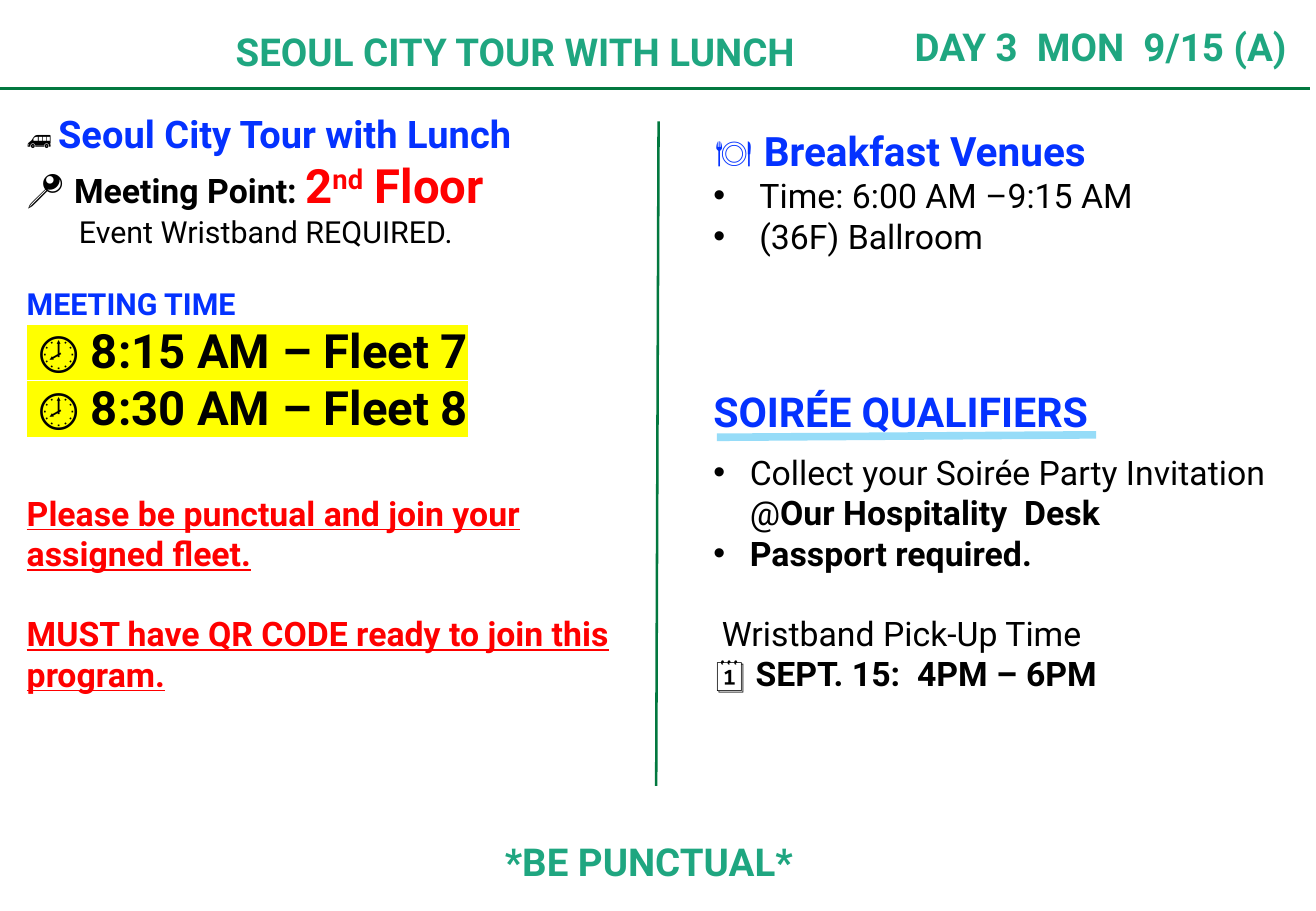
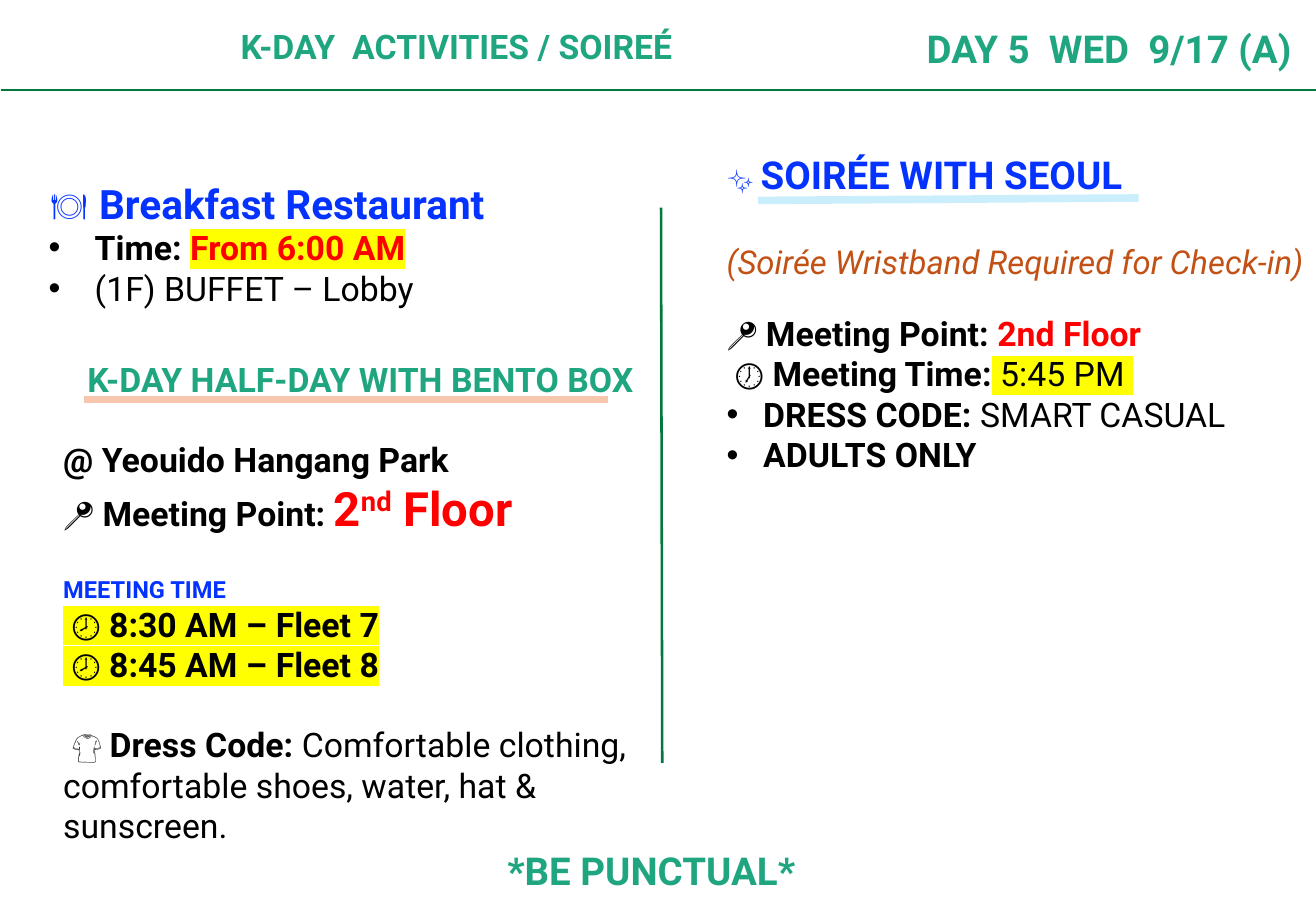
from lxml import etree
from pptx import Presentation
from pptx.dml.color import RGBColor
from pptx.enum.shapes import MSO_CONNECTOR
from pptx.enum.text import MSO_ANCHOR, PP_ALIGN
from pptx.oxml.ns import qn
from pptx.util import Inches, Pt

FONT = "Roboto"
GREEN, DARK_GREEN, BLUE = "1FA680", "02783F", "0432FF"
RED, BLACK, BROWN, YELLOW = "FF0000", "000000", "C25115", "FFFF00"
LINE_HEIGHT = 1.17
STRAIGHT = MSO_CONNECTOR.STRAIGHT
LEFT, CENTER, RIGHT = PP_ALIGN.LEFT, PP_ALIGN.CENTER, PP_ALIGN.RIGHT
TOP = MSO_ANCHOR.TOP


def add_text(slide, box, paragraphs, align=LEFT):
    """Paragraph: (gap above in points of type, indent, bulleted, runs).
    Run: (text, size, colour, style letters b i u ^, optional highlight)."""
    shape = slide.shapes.add_textbox(*[Inches(value) for value in box])
    frame = shape.text_frame
    frame.word_wrap = True
    frame.vertical_anchor = TOP
    frame.margin_left = frame.margin_right = Inches(0.08)
    frame.margin_top = frame.margin_bottom = Inches(0.04)
    for number, (gap, indent, bulleted, runs) in enumerate(paragraphs):
        paragraph = frame.add_paragraph() if number else frame.paragraphs[0]
        paragraph.alignment = align
        if gap:
            paragraph.space_before = Pt(gap * LINE_HEIGHT)
        properties = paragraph._p.get_or_add_pPr()
        properties.set("marL", str(Inches(indent)))
        if bulleted:
            properties.set("indent", str(-Inches(indent)))
            etree.SubElement(properties, qn("a:buFont")).set("typeface", "Arial")
            etree.SubElement(properties, qn("a:buChar")).set("char", "•")
        for text, size, color, style, *highlight in runs:
            run = paragraph.add_run()
            run.text = text
            run.font.size = Pt(size)
            run.font.name = FONT
            run.font.bold = "b" in style
            run.font.italic = "i" in style
            run.font.underline = "u" in style
            run.font.color.rgb = RGBColor.from_string(color)
            run_properties = run.font._element
            if "^" in style:
                run_properties.set("baseline", "30000")
            if highlight:
                mark = etree.Element(qn("a:highlight"))
                etree.SubElement(mark, qn("a:srgbClr")).set("val", highlight[0])
                run_properties.find(qn("a:solidFill")).addnext(mark)


def add_line(slide, points, color, width):
    line = slide.shapes.add_connector(STRAIGHT, *[Inches(value) for value in points])
    line.line.color.rgb = RGBColor.from_string(color)
    line.line.width = Pt(width)
    etree.SubElement(line._element.spPr, qn("a:effectLst"))


presentation = Presentation()
presentation.slide_width = Inches(10.83)
presentation.slide_height = Inches(7.5)

# Shared frame: title, day, header rule, column divider, footer
frames = [
    dict(title="SEOUL CITY TOUR WITH LUNCH", title_box=(1.86, 0.19, 5.51, 0.46),
         title_size=22.8, day="DAY 3  MON  9/15 (A)", day_box=(5.9, 0.15, 4.77, 0.46),
         rule=(0, 0.73, 10.78, 0.73), divider=(5.4, 6.47, 5.42, 1),
         footer_box=(0, 6.86, 10.68, 0.46)),
    dict(title="K-DAY  ACTIVITIES / SOIREÉ", title_box=(1.9, 0.17, 6.48, 0.42),
         title_size=20, day="DAY 5  WED  9/17 (A)", day_box=(5.94, 0.17, 4.77, 0.46),
         rule=(0.01, 0.74, 10.83, 0.74), divider=(5.45, 6.28, 5.44, 1.71),
         footer_box=(0, 6.93, 10.72, 0.46)),
]
slides = []
for frame in frames:
    slide = presentation.slides.add_slide(presentation.slide_layouts[6])
    add_line(slide, frame["rule"], DARK_GREEN, 1.5)
    add_line(slide, frame["divider"], DARK_GREEN, 1.5)
    for text, box, size, align in [
        (frame["title"], frame["title_box"], frame["title_size"], LEFT),
        (frame["day"], frame["day_box"], 22.8, RIGHT),
        ("*BE PUNCTUAL*", frame["footer_box"], 22.8, CENTER),
    ]:
        add_text(slide, box, [(0, 0, False, [(text, size, GREEN, "b")])], align)
    slides.append(slide)
tour, k_day = slides

second_floor = [("2", 28, RED, "b"), ("nd", 28, RED, "b^"), (" Floor", 28, RED, "b")]

# Tour slide: meeting point and times
add_text(tour, (0.14, 0.87, 5.01, 4.96), [
    (0, 0, False, [("🚐 ", 14.5, BLACK, ""),
                   ("Seoul City Tour with Lunch", 22.5, BLUE, "b")]),
    (0, 0, False, [("📍 ", 24, BLACK, ""),
                   ("Meeting Point: ", 20, BLACK, "b"), *second_floor]),
    (0, 0.43, False, [("Event Wristband REQUIRED.", 18, BLACK, "")]),
    (18, 0, False, [("MEETING TIME", 18, BLUE, "b")]),
    (0, 0, False, [(" 🕗 8:15 AM – Fleet 7", 28, BLACK, "b", YELLOW)]),
    (0, 0, False, [(" 🕗 8:30 AM – Fleet 8", 28, BLACK, "b", YELLOW)]),
    (29.2, 0, False, [("Please be punctual and join your assigned fleet.", 20, RED, "bu")]),
    (20, 0, False, [("MUST have QR CODE ready to join this program.", 20, RED, "bu")]),
])

# Tour slide: breakfast
add_text(tour, (5.79, 1, 4.9, 1.5), [
    (0, 0, False, [("🍽 ", 24, BLUE, ""), ("Breakfast Venues", 24, BLUE, "b")]),
    (0, 0.38, True, [("Time: 6:00 AM –9:15 AM", 20, BLACK, "")]),
    (0, 0.38, True, [("(36F) Ballroom", 20, BLACK, "")]),
])

# Tour slide: qualifiers
add_text(tour, (5.79, 3.14, 4.78, 2.65), [
    (0, 0, False, [("SOIRÉE QUALIFIERS", 24.4, BLUE, "b")]),
    (8.1, 0.3, True, [("Collect your Soirée Party Invitation @", 20, BLACK, ""),
                      ("Our Hospitality  Desk", 20, BLACK, "b")]),
    (0, 0.3, True, [("Passport required.", 20, BLACK, "b")]),
    (20, 0.07, False, [("Wristband Pick-Up Time", 20, BLACK, "")]),
    (0, 0, False, [("🗓️ SEPT. 15:  4PM – 6PM", 20, BLACK, "b")]),
])
add_line(tour, (5.9, 3.6, 9.02, 3.58), "96DCF8", 4.5)

# K-Day slide: breakfast
add_text(k_day, (0.32, 1.43, 4.9, 1.16), [
    (0, 0, False, [("🍽 ", 24, BLUE, ""), ("Breakfast Restaurant", 24, BLUE, "b")]),
    (0, 0.38, True, [("Time: ", 20, BLACK, "b"), ("From 6:00 AM", 20, RED, "b", YELLOW)]),
    (0, 0.38, True, [("(1F) BUFFET – Lobby", 20, BLACK, "")]),
])

# K-Day slide: half-day activity
add_text(k_day, (0.44, 2.91, 5.03, 4.44), [
    (0, 0.2, False, [("K-DAY HALF-DAY WITH BENTO BOX", 20, GREEN, "b")]),
    (20, 0, False, [("@ Yeouido Hangang Park", 20, BLACK, "b")]),
    (0, 0, False, [("📍 Meeting Point: ", 20, BLACK, "b"), *second_floor]),
    (20, 0, False, [("MEETING TIME", 14, BLUE, "b")]),
    (0, 0, False, [(" 🕗 8:30 AM – Fleet 7", 20, BLACK, "b", YELLOW)]),
    (0, 0, False, [(" 🕗 8:45 AM – Fleet 8", 20, BLACK, "b", YELLOW)]),
    (20, 0, False, [(" ", 20, BLACK, "b"), ("👕 ", 18, BLACK, ""),
                    ("Dress Code: ", 20, BLACK, "b"),
                    ("Comfortable clothing, comfortable shoes, water, hat & sunscreen.",
                     20, BLACK, "")]),
])
add_line(k_day, (0.69, 3.29, 5, 3.29), "F6C6AD", 4.5)

# K-Day slide: evening event
add_text(k_day, (5.9, 1.2, 4.93, 2.81), [
    (0, 0, False, [("✨ ", 16.2, BLUE, ""), ("SOIRÉE WITH SEOUL", 22.8, BLUE, "b")]),
    (22.5, 0, False, [("(Soirée Wristband Required for Check-in)", 19.5, BROWN, "i")]),
    (16.2, 0, False, [("📍 ", 20, BLACK, ""), ("Meeting Point: ", 20, BLACK, "b"),
                      ("2nd Floor", 20, RED, "b")]),
    (0, 0, False, [(" 🕖 ", 20, BLACK, ""), ("Meeting Time:", 20, BLACK, "b"),
                   (" 5:45 PM ", 20, BLACK, "", YELLOW)]),
    (0, 0.3, True, [("DRESS CODE: ", 20, BLACK, "b"), ("SMART CASUAL", 20, BLACK, "")]),
    (0, 0.3, True, [("ADULTS ONLY", 20, BLACK, "b")]),
])
add_line(k_day, (6.24, 1.65, 9.37, 1.63), "CAEEFB", 4.5)

presentation.save("out.pptx")
